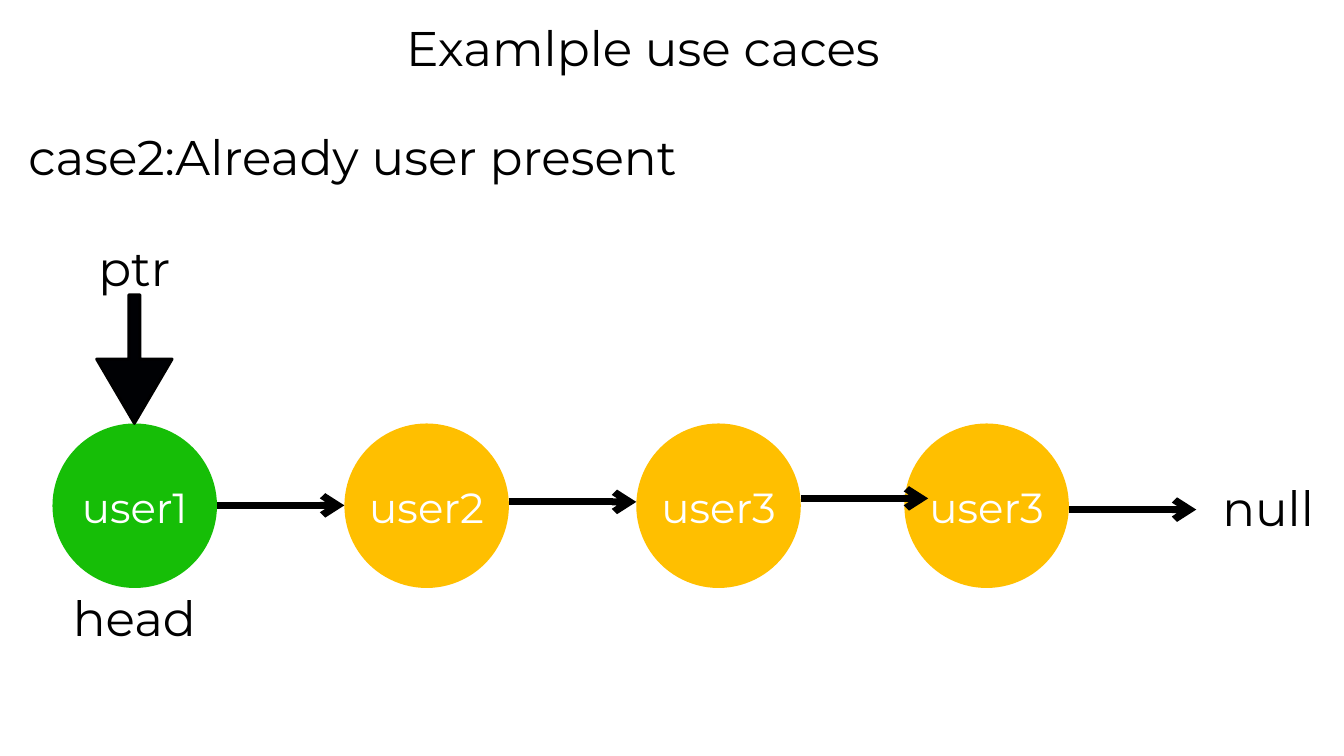
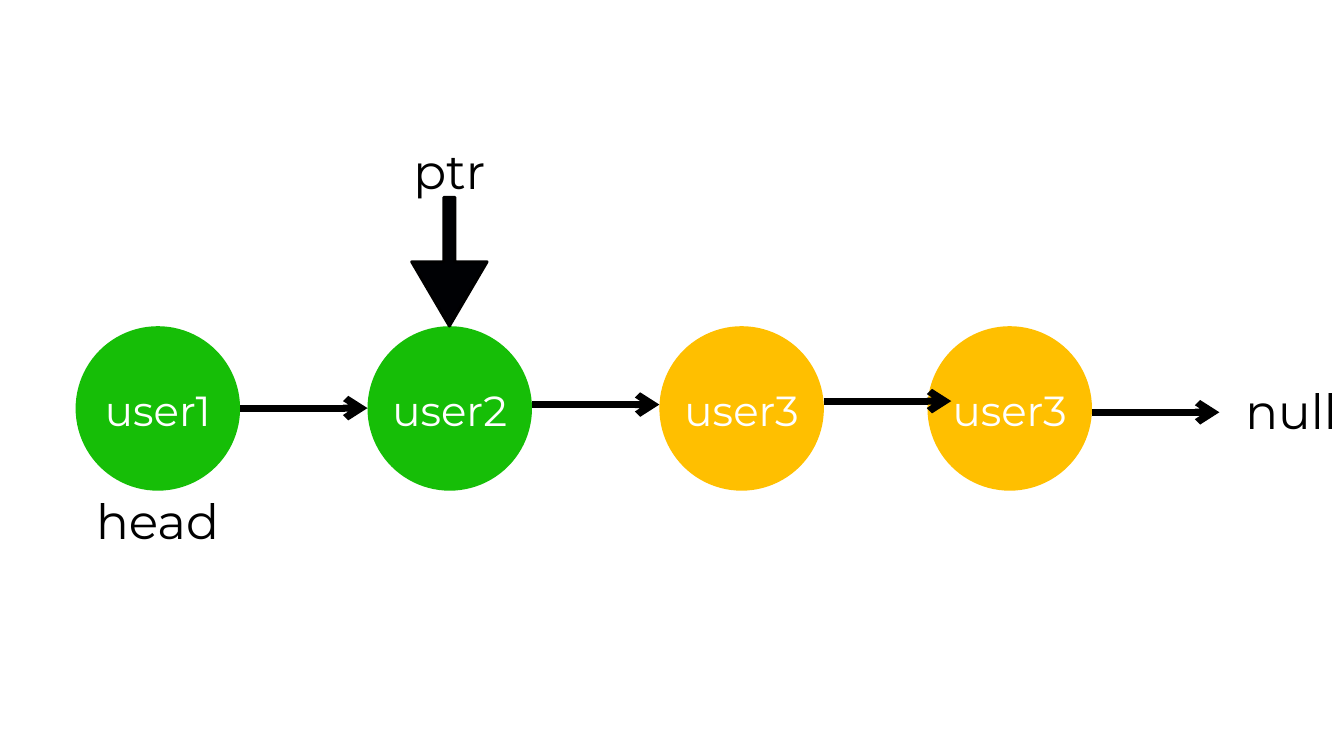
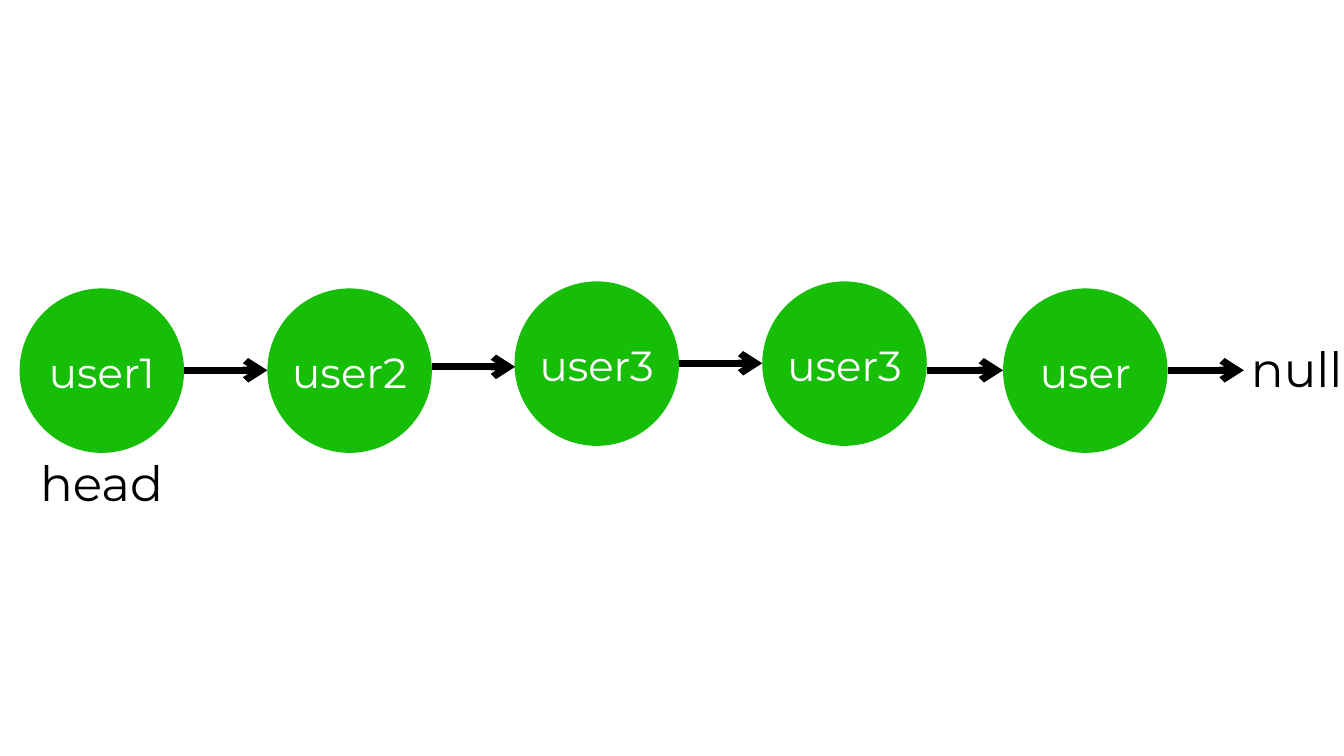
from lxml import etree
from pptx import Presentation
from pptx import util as u
from pptx.dml.color import RGBColor
from pptx.enum import shapes, text
from pptx.oxml import ns

PX = 9525  # EMU in one px, 96 px to the inch
FONT = "Montserrat"
BLACK, INK, WHITE = "000000", "000104", "FFFFFF"
GREEN, AMBER = "16BE07", "FFBF00"
SIZE = 235  # diameter of a node

# Each node: name, left and top within the list, length and rise of its link
FOUR = [
    ("user1", 0, 0, 182, 0),
    ("user2", 417, 0, 182, -5),
    ("user3", 834, 0, 182, -10),
    ("user3", 1217, 0, 182, 6),
]
FIVE = [
    ("user1", 0, 0, 119, 0),
    ("user2", 354, 0, 119, -5),
    ("user3", 707, -10, 119, 0),
    ("user3", 1061, -10, 109, 10),
    ("user", 1405, 0, 109, 0),
]


def px(*nums):
    return [u.Emu(round(n * PX)) for n in nums]


def paint(target, color):
    """Give a fill or a font one solid colour."""
    if hasattr(target, "solid"):
        target.solid()
        target.fore_color.rgb = RGBColor.from_string(color)
    else:
        target.color.rgb = RGBColor.from_string(color)


def write(shape, words, size=52, color=BLACK, lead=61.4, top=0, wrap=True,
          anchor=text.MSO_ANCHOR.TOP, fit=text.MSO_AUTO_SIZE.SHAPE_TO_FIT_TEXT):
    frame = shape.text_frame
    frame.text = words
    frame.word_wrap = wrap
    frame.auto_size = fit
    frame.vertical_anchor = anchor
    frame.margin_left = frame.margin_right = frame.margin_bottom = 0
    frame.margin_top = px(top)[0]
    para = frame.paragraphs[0]
    para.alignment = text.PP_ALIGN.CENTER
    para.line_spacing = u.Pt(lead)
    para.space_before = u.Pt(0)
    font = para.runs[0].font
    font.name, font.size = FONT, u.Pt(size)
    paint(font, color)


def label(slide, words, x, y, w, h=80, **style):
    write(slide.shapes.add_textbox(*px(x, y, w, h)), words, **style)


def title(slide, words):
    shape = slide.shapes.title
    shape.left, shape.top, shape.width, shape.height = px(558, 27, 721, 82)
    write(shape, words, size=52.1, lead=61.5)


def node(slide, name, x, y, color):
    oval = slide.shapes.add_shape(shapes.MSO_SHAPE.OVAL, *px(x, y, SIZE, SIZE))
    oval.shadow.inherit = False
    paint(oval.fill, color)
    oval.line.fill.background()
    write(oval, name, size=45, color=WHITE, lead=53.1, top=4, wrap=False,
          anchor=text.MSO_ANCHOR.MIDDLE, fit=text.MSO_AUTO_SIZE.NONE)


def link(slide, x, y, length):
    line = slide.shapes.add_connector(
        shapes.MSO_CONNECTOR.STRAIGHT, *px(x, y, x + length, y))
    line.line.width = u.Pt(7.5)
    paint(line.line.fill, BLACK)
    props = line._element.spPr
    etree.SubElement(props.find(ns.qn("a:ln")), ns.qn("a:tailEnd"), type="arrow")
    etree.SubElement(props, ns.qn("a:effectLst"))


def pointer(slide, x, y):
    """Label ptr and a block arrow whose tip is at x, y."""
    neck, base, tail = 8, y - 92, y - 184
    half = [(54, base), (neck, base), (neck, tail)]
    left = [(x - dx, dy) for dx, dy in half]
    right = [(x + dx, dy) for dx, dy in reversed(half)]
    build = slide.shapes.build_freeform(x, y, scale=PX)
    build.add_line_segments(left + right, close=True)
    arrow = build.convert_to_shape()
    arrow.shadow.inherit = False
    paint(arrow.fill, INK)
    arrow.line.width = u.Pt(3)
    paint(arrow.line.fill, BLACK)
    label(slide, "ptr", x - 54, tail - 80, 108)


def chain(slide, nodes, x, y, seen):
    """Draw a linked list whose first nodes, as many as seen, are green."""
    for i, (name, left, top, _, _) in enumerate(nodes):
        node(slide, name, x + left, y + top, GREEN if i < seen else AMBER)
    for _, left, top, length, rise in nodes:
        start, level = x + left + SIZE, y + top + SIZE // 2 + rise
        link(slide, start, level, length)
    label(slide, "head", x + 26, y + 237, 182)
    # The text after the last link
    gap = 34 if nodes is FOUR else 7
    label(slide, "null", start + length + gap, level - 44, 137)


def main():
    deck = Presentation()
    deck.slide_width, deck.slide_height = px(1920, 1080)
    named, blank = deck.slide_layouts[5], deck.slide_layouts[6]

    # Pointer at the first node
    slide = deck.slides.add_slide(named)
    title(slide, "Examlple use caces")
    label(slide, "case2:Already user present", 12, 183, 983, 82,
          size=52.1, lead=61.5)
    chain(slide, FOUR, 75, 605, seen=1)
    pointer(slide, 192, 605)

    # Pointer at the second node
    slide = deck.slides.add_slide(blank)
    chain(slide, FOUR, 108, 466, seen=2)
    pointer(slide, 642, 466)

    # New user at the end
    slide = deck.slides.add_slide(blank)
    chain(slide, FIVE, 28, 412, seen=5)

    deck.save("out.pptx")


if __name__ == "__main__":
    main()
